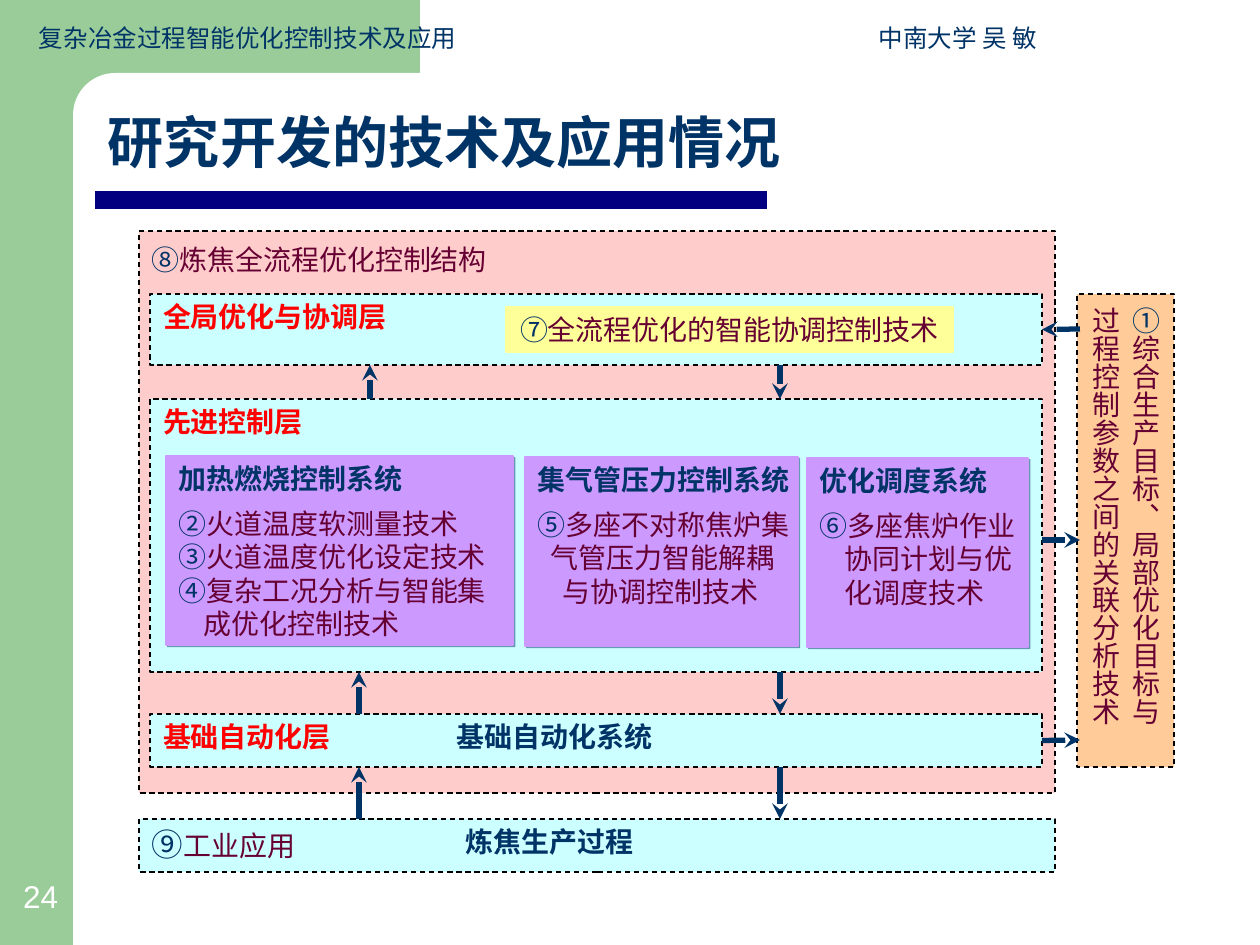
from lxml import etree
from pptx import Presentation
from pptx.dml.color import RGBColor
from pptx.enum.dml import MSO_LINE
from pptx.enum.shapes import MSO_CONNECTOR, MSO_SHAPE
from pptx.enum.text import MSO_ANCHOR, PP_ALIGN
from pptx.oxml.ns import qn
from pptx.util import Emu, Pt

PX = 914400 // 126
RECTANGLE, ROUNDED = MSO_SHAPE.RECTANGLE, MSO_SHAPE.ROUNDED_RECTANGLE
STRAIGHT, DASH = MSO_CONNECTOR.STRAIGHT, MSO_LINE.DASH
TOP, MIDDLE, BOTTOM = MSO_ANCHOR.TOP, MSO_ANCHOR.MIDDLE, MSO_ANCHOR.BOTTOM
LEFT, CENTER = PP_ALIGN.LEFT, PP_ALIGN.CENTER

NAVY, MAROON, RED, WHITE = "003366", "660033", "FF0000", "FFFFFF"
GREEN, PINK, CYAN, PURPLE = "99CC99", "FFCCCC", "CCFFFF", "CC99FF"
YELLOW, ORANGE, BLUE, BLACK = "FFFF99", "FFCC99", "000080", "000000"

TITLE = dict(name="Times New Roman", size=32, bold=True, color=NAVY)
LAYER = dict(name="Times New Roman", size=16, bold=True, color=RED)
BASE = dict(LAYER, name="Arial")
HEADING = dict(BASE, color=NAVY)
NUMBER = dict(name="Noto Sans CJK SC", size=16, bold=False, color=NAVY)
BODY = dict(name="Arial", size=16, bold=False, color=MAROON)
LARGE_NUMBER = dict(BODY, size=18, color=NAVY)
HEADER = dict(BODY, size=14, color=NAVY)
PAGE = dict(BODY, size=18, color=WHITE)


def px(value):
    return Emu(value * PX)


def rgb(value):
    return RGBColor.from_string(value)


def inside(box, left, top, width, height):
    return box[0] + left, box[1] + top, width, height


def write(shape, paragraphs, anchor=TOP, align=LEFT, wrap=True, margins=(13, 6)):
    frame = shape.text_frame
    side, end = map(px, margins)
    settings = dict(margin_left=side, margin_right=side, margin_top=end,
                    margin_bottom=end, word_wrap=wrap, vertical_anchor=anchor)
    for name, value in settings.items():
        setattr(frame, name, value)
    for index, (runs, options) in enumerate(paragraphs):
        paragraph = frame.add_paragraph() if index else frame.paragraphs[0]
        paragraph.alignment = align
        paragraph.space_before = Pt(0)
        paragraph.space_after = Pt(options.get("after", 0))
        properties = paragraph._p.get_or_add_pPr()
        properties.set("marL", str(px(options.get("indent", 0))))
        properties.set("indent", "0")
        for text, style in runs:
            run = paragraph.add_run()
            run.text = text
            for name, value in style.items():
                if name == "color":
                    run.font.color.rgb = rgb(value)
                else:
                    setattr(run.font, name, Pt(value) if name == "size" else value)


def add_box(slide, box, fill, line=None, dash=None, kind=RECTANGLE):
    shape = slide.shapes.add_shape(kind, *map(px, box))
    shape.shadow.inherit = False
    shape.fill.solid()
    shape.fill.fore_color.rgb = rgb(fill)
    if line:
        shape.line.color.rgb = rgb(line)
        shape.line.width = Pt(0.75)
        shape.line.dash_style = dash
    else:
        shape.line.fill.background()
    return shape


def add_text(slide, box, runs, **options):
    write(slide.shapes.add_textbox(*map(px, box)), [(runs, {})], **options)


def add_line(slide, start, end, color=NAVY, width=3, arrow=True):
    line = slide.shapes.add_connector(STRAIGHT, *map(px, start + end))
    line.line.color.rgb = rgb(color)
    line.line.width = Pt(width)
    if arrow:
        etree.SubElement(line.line._get_or_add_ln(), qn("a:tailEnd"), type="stealth")
    etree.SubElement(line.element.spPr, qn("a:effectLst"))
    return line


def draw_frame(slide, box):
    add_box(slide, inside(box, 0, 0, 73, box[3]), GREEN)
    add_box(slide, inside(box, 73, 0, 347, 116), GREEN)
    panel = add_box(slide, inside(box, 73, 73, 703, 84), WHITE, kind=ROUNDED)
    panel.adjustments[0] = 0.5
    for left, width, text in ((26, 500, "复杂冶金过程智能优化控制技术及应用"),
                              (866, 367, "中南大学 吴 敏")):
        add_text(slide, inside(box, left, 15, width, 43), [(text, HEADER)], anchor=BOTTOM)
    add_text(slide, inside(box, 0, 871, 81, 50), [("24", PAGE)],
             anchor=BOTTOM, align=CENTER)


def draw_title(slide, box):
    title = slide.shapes.title
    slide.shapes.element.append(title.element)
    title.left, title.top, title.width, title.height = map(px, inside(box, 0, 2, box[2], 88))
    write(title, [([("研究开发的技术及应用情况", TITLE)], {})], anchor=MIDDLE)
    add_line(slide, (box[0], box[1] + 105), (box[0] + 672, box[1] + 105), BLUE, 10, False)


def draw_system(slide, box, heading, lines):
    shape = add_box(slide, box, PURPLE, PURPLE)
    effects = shape.element.spPr.find(qn("a:effectLst"))
    shadow = etree.SubElement(effects, qn("a:outerShdw"), blurRad="0", dist=str(Pt(1.4)),
                              dir="2700000", algn="ctr", rotWithShape="0")
    color = etree.SubElement(shadow, qn("a:srgbClr"), val=NAVY)
    etree.SubElement(color, qn("a:alpha"), val="50000")
    paragraphs = [([(heading, HEADING)], {"after": 6})]
    for number, text, indent in lines:
        runs = [(number, NUMBER)] if number else []
        paragraphs.append((runs + [(text, BODY)], {"indent": indent}))
    write(shape, paragraphs, wrap=False)


def draw_layer(slide, box, runs, content="", content_left=0):
    shape = add_box(slide, box, CYAN, BLACK, DASH)
    write(shape, [(runs, {})])
    if content:
        add_text(slide, inside(box, content_left, 0, 300, box[3]), [(content, HEADING)])
    return shape


def draw_structure(slide, box):
    def place(*area):
        return inside(box, *area)

    def point(left, top):
        return box[0] + left, box[1] + top

    add_box(slide, place(0, 0, 916, 562), PINK, BLACK, DASH)
    draw_layer(slide, place(11, 168, 892, 273), [("先进控制层", LAYER)])
    coordination = draw_layer(slide, place(11, 63, 892, 71), [("全局优化与协调层", LAYER)])
    automation = draw_layer(slide, place(11, 483, 892, 53), [("基础自动化层", BASE)],
                            "基础自动化系统", 294)
    draw_layer(slide, place(0, 588, 916, 53), [("⑨", LARGE_NUMBER), ("工业应用", BODY)],
               "炼焦生产过程", 314)
    add_text(slide, place(0, 6, 500, 47),
             [("⑧", NUMBER), ("炼焦全流程优化控制结构", BODY)])
    technique = add_box(slide, place(367, 76, 447, 45), YELLOW, YELLOW)
    write(technique, [([("⑦", NUMBER), ("全流程优化的智能协调控制技术", BODY)], {})],
          anchor=MIDDLE, align=CENTER)

    analysis = add_box(slide, place(938, 63, 97, 473), ORANGE, BLACK, DASH)
    write(analysis, [([("①", NUMBER), ("综合生产目标、局部优化目标与", BODY)], {"after": 4}),
                     ([("过程控制参数之间的关联分析技术", BODY)], {})],
          anchor=MIDDLE, margins=(6, 13))
    analysis.text_frame._txBody.bodyPr.set("vert", "eaVert")

    for up, upper, lower in ((231, 134, 168), (220, 441, 483), (220, 536, 588)):
        add_line(slide, point(up, lower), point(up, upper))
        add_line(slide, point(641, upper), point(641, lower))
    add_line(slide, point(903, 309), point(941, 309))
    add_line(slide, point(903, 509), point(941, 509)).begin_connect(automation, 3)
    add_line(slide, point(941, 98), point(903, 98)).end_connect(coordination, 3)

    draw_system(slide, place(27, 225, 347, 189), "加热燃烧控制系统", [
        ("②", "火道温度软测量技术", 0), ("③", "火道温度优化设定技术", 0),
        ("④", "复杂工况分析与智能集", 0), ("", "成优化控制技术", 25)])
    draw_system(slide, place(386, 226, 273, 189), "集气管压力控制系统", [
        ("⑤", "多座不对称焦炉集", 0), ("", "气管压力智能解耦", 13),
        ("", "与协调控制技术", 25)])
    draw_system(slide, place(668, 227, 221, 189), "优化调度系统", [
        ("⑥", "多座焦炉作业", 0), ("", "协同计划与优", 25), ("", "化调度技术", 25)])


def main():
    presentation = Presentation()
    presentation.slide_width, presentation.slide_height = px(1260), px(945)
    slide = presentation.slides.add_slide(presentation.slide_layouts[5])
    draw_frame(slide, (0, 0, 1260, 945))
    draw_title(slide, (95, 95, 1113, 114))
    draw_structure(slide, (139, 231, 1035, 641))
    presentation.save("out.pptx")


if __name__ == "__main__":
    main()
